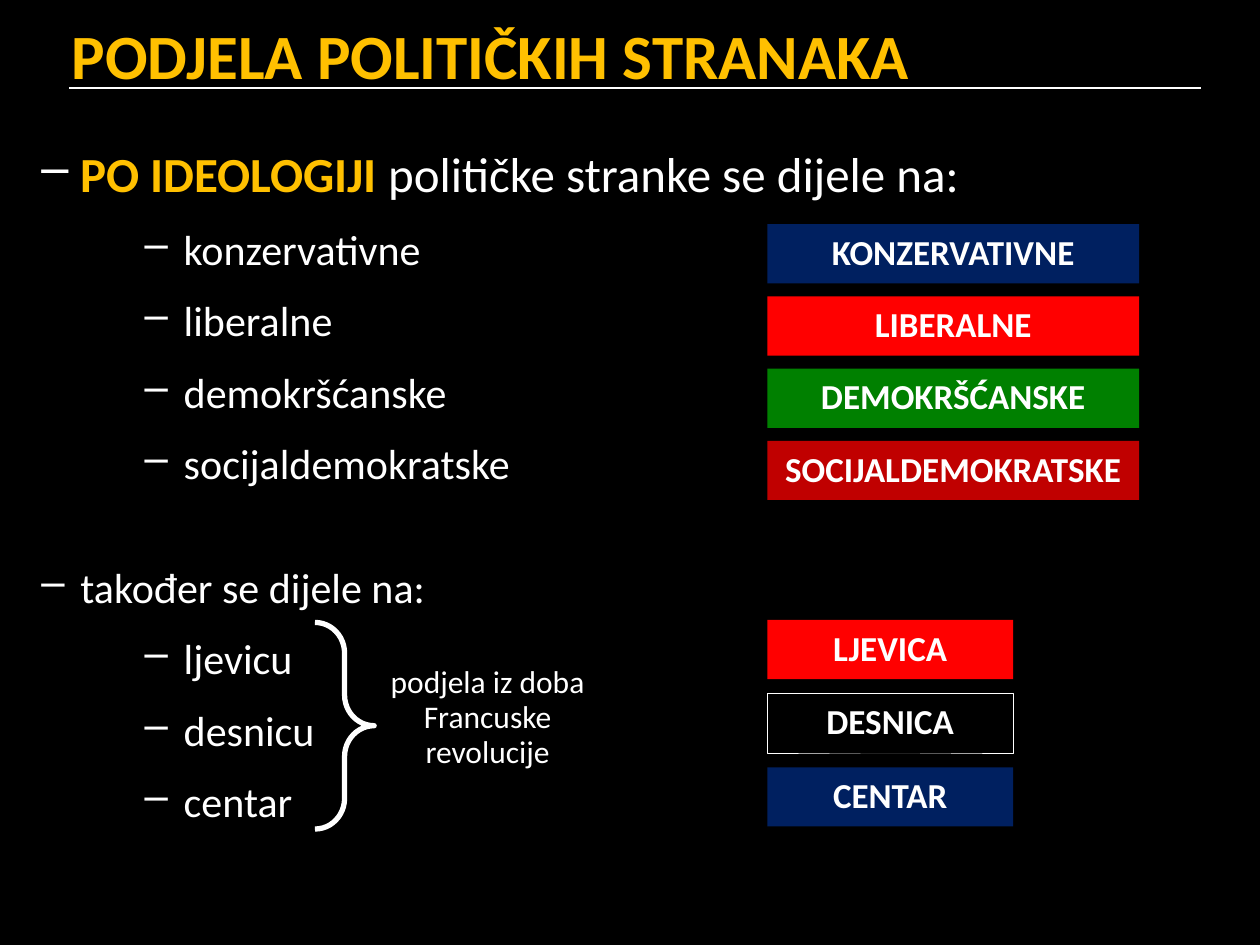
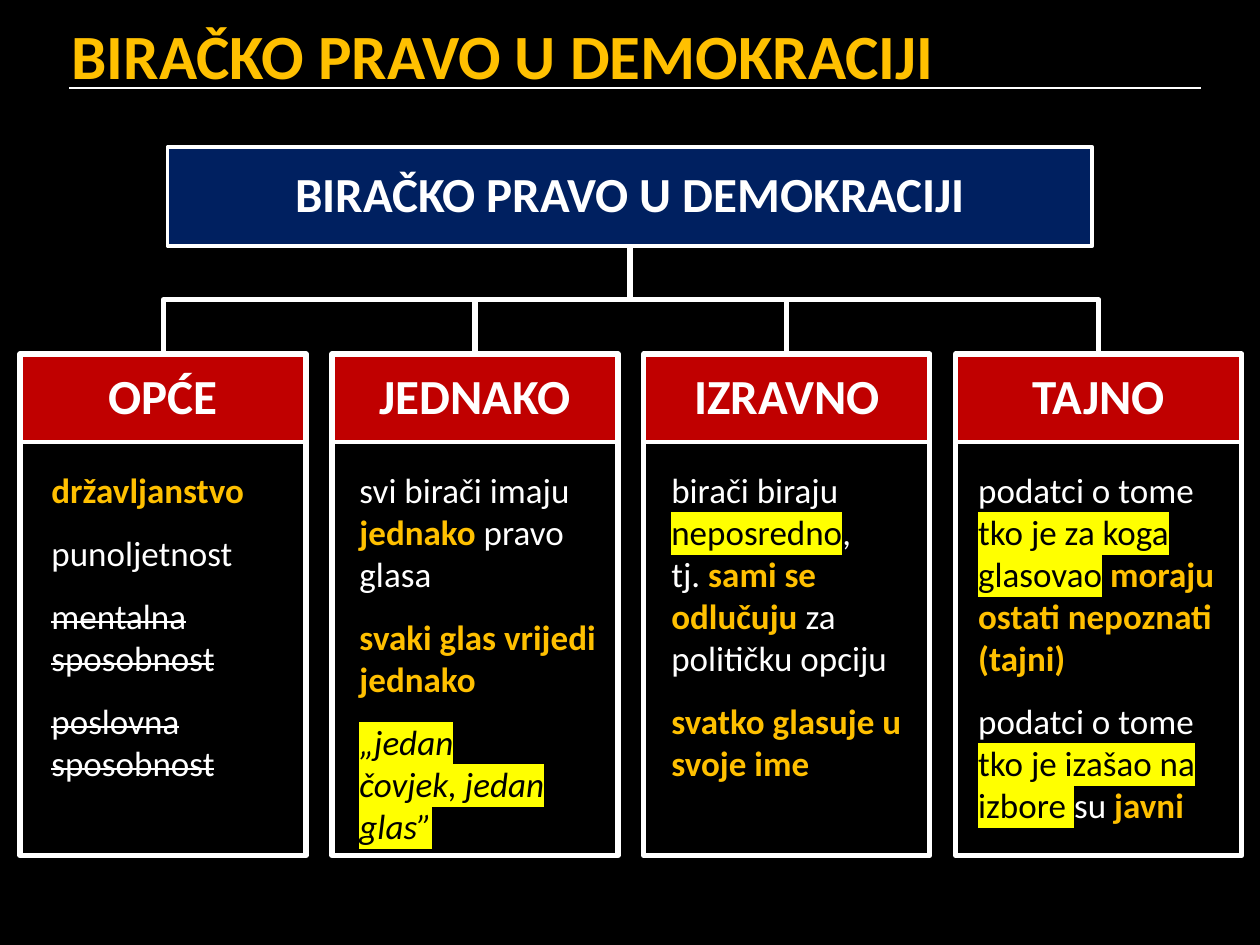
from dataclasses import dataclass

from lxml import etree
from pptx import Presentation
from pptx.dml.color import RGBColor
from pptx.enum.shapes import MSO_CONNECTOR, MSO_SHAPE
from pptx.enum.text import MSO_ANCHOR, PP_ALIGN
from pptx.oxml.ns import qn
from pptx.util import Inches, Pt

RECTANGLE, BRACE = MSO_SHAPE.RECTANGLE, MSO_SHAPE.RIGHT_BRACE
STRAIGHT, ELBOW = MSO_CONNECTOR.STRAIGHT, MSO_CONNECTOR.ELBOW
CENTER, MIDDLE = PP_ALIGN.CENTER, MSO_ANCHOR.MIDDLE


@dataclass(frozen=True)
class Theme:
    font: str = "Calibri"
    black: str = "000000"
    white: str = "FFFFFF"
    gold: str = "FFC000"
    yellow: str = "FFFF00"
    navy: str = "002060"
    red: str = "FF0000"
    green: str = "008000"
    crimson: str = "C00000"
    title: int = 36
    heading: int = 28
    item: int = 24
    label: int = 20
    note: int = 18
    paragraph_gap: int = 12
    tight: float = 0.93


THEME = Theme()

# Run styles: colour, then bold, italic, highlighted, struck out
STYLES = {
    "plain": (THEME.white, False, False, False, False),
    "strong": (THEME.gold, True, False, False, False),
    "label": (THEME.white, True, False, False, False),
    "marked": (THEME.black, False, False, True, False),
    "quote": (THEME.black, False, True, True, False),
    "struck": (THEME.white, False, False, False, True),
}

# Slide 1: level, size, space before, runs
OUTLINE = [
    (0, THEME.heading, 0, [("strong", "PO IDEOLOGIJI "),
                           ("plain", "političke stranke se dijele na:")]),
    *[(1, THEME.item, THEME.paragraph_gap, [("plain", name)])
      for name in ("konzervativne", "liberalne", "demokršćanske", "socijaldemokratske")],
    (0, THEME.item, 42, [("plain", "također se dijele na:")]),
    *[(1, THEME.item, THEME.paragraph_gap, [("plain", name)])
      for name in ("ljevicu", "desnicu", "centar")],
]
IDEOLOGIES = [("KONZERVATIVNE", THEME.navy), ("LIBERALNE", THEME.red),
              ("DEMOKRŠĆANSKE", THEME.green), ("SOCIJALDEMOKRATSKE", THEME.crimson)]
POSITIONS = [("LJEVICA", THEME.red), ("DESNICA", THEME.black), ("CENTAR", THEME.navy)]
LABEL_LEFT, LABEL_HEIGHT = 6.09, 0.47

# Slide 2: heading, text inset from the card edge, text width, paragraphs
PRINCIPLES = [
    ("OPĆE", 0.15, 2.03, [
        [("strong", "državljanstvo")],
        [("plain", "punoljetnost")],
        [("struck", "mentalna sposobnost")],
        [("struck", "poslovna sposobnost")]]),
    ("JEDNAKO", 0.12, 2.16, [
        [("plain", "svi birači imaju "), ("strong", "jednako "), ("plain", "pravo glasa")],
        [("strong", "svaki glas vrijedi jednako")],
        [("quote", "„jedan\nčovjek, jedan\nglas”")]]),
    ("IZRAVNO", 0.12, 2.03, [
        [("plain", "birači biraju "), ("marked", "neposredno"), ("plain", ",\ntj. "),
         ("strong", "sami se odlučuju "), ("plain", "za političku opciju")],
        [("strong", "svatko glasuje u svoje ime")]]),
    ("TAJNO", 0.08, 2.1, [
        [("plain", "podatci o tome "), ("marked", "tko je za koga glasovao"), ("plain", " "),
         ("strong", "moraju ostati nepoznati (tajni)")],
        [("plain", "podatci o tome "), ("marked", "tko je izašao na izbore "),
         ("plain", "su "), ("strong", "javni")]]),
]
CARD_LEFT, CARD_TOP, CARD_PITCH = 0.16, 2.81, 2.475
CARD_WIDTH, CARD_HEIGHT, HEADER_HEIGHT = 2.27, 3.98, 0.7
ROOT_BOX = (1.33, 1.17, 7.34, 0.78)


def rgb(color):
    return RGBColor.from_string(color)


def add_styled_run(paragraph, style, text):
    color, bold, italic, highlighted, struck = STYLES[style]
    for index, line in enumerate(text.split("\n")):
        if index:
            paragraph.add_line_break()
        run = paragraph.add_run()
        run.text = line
        run.font.color.rgb = rgb(color)
        run.font.bold, run.font.italic = bold, italic
        properties = run.font._element
        if struck:
            properties.set("strike", "sngStrike")
        if highlighted:
            highlight = etree.SubElement(properties, qn("a:highlight"))
            etree.SubElement(highlight, qn("a:srgbClr"), val=THEME.yellow)


def write(paragraph, runs, size, space_before=0):
    paragraph.space_before = Pt(space_before)
    paragraph.font.name, paragraph.font.size = THEME.font, Pt(size)
    for style, text in runs:
        add_styled_run(paragraph, style, text)


def paragraphs_of(frame, count):
    return [frame.paragraphs[0]] + [frame.add_paragraph() for _ in range(count - 1)]


def add_text_frame(slide, *box):
    frame = slide.shapes.add_textbox(*map(Inches, box)).text_frame
    frame.word_wrap = True
    return frame


def add_dash(paragraph, level):
    """Hang the paragraph on a white dash at the given outline level."""
    paragraph.level = level
    properties = paragraph._p.get_or_add_pPr()
    properties.set("marL", str(Inches((0.31, 1.13)[level])))
    properties.set("indent", str(Inches(-0.31)))
    color = etree.SubElement(properties, qn("a:buClr"))
    etree.SubElement(color, qn("a:srgbClr"), val=THEME.white)
    etree.SubElement(properties, qn("a:buChar"), char="–")


def add_outlined(slide, kind, box, line_width, fill=None):
    """Add a preset shape with a white line; a zero width means no line."""
    shape = slide.shapes.add_shape(kind, *map(Inches, box))
    shape.shadow.inherit = False
    if fill:
        shape.fill.solid()
        shape.fill.fore_color.rgb = rgb(fill)
    else:
        shape.fill.background()
    if line_width:
        shape.line.color.rgb = rgb(THEME.white)
        shape.line.width = Pt(line_width)
    else:
        shape.line.fill.background()
    return shape


def add_label(slide, text, box, fill, size, line_width=0):
    frame = add_outlined(slide, RECTANGLE, box, line_width, fill).text_frame
    frame.word_wrap = True
    frame.vertical_anchor = MIDDLE
    paragraph = frame.paragraphs[0]
    paragraph.alignment, paragraph.line_spacing = CENTER, THEME.tight
    write(paragraph, [("label", text)], size)


def add_label_stack(slide, labels, top, pitch, width):
    for row, (text, fill) in enumerate(labels):
        box = (LABEL_LEFT, top + row * pitch, width, LABEL_HEIGHT)
        add_label(slide, text, box, fill, THEME.label, 0.25 if fill == THEME.black else 0)


def add_line(slide, kind, start, end, width):
    line = slide.shapes.add_connector(kind, *map(Inches, (*start, *end)))
    line.line.color.rgb = rgb(THEME.white)
    line.line.width = Pt(width)
    etree.SubElement(line._element.spPr, qn("a:effectLst"))
    return line


def add_branch(slide, start, end):
    """Run an elbow down, across and down: a horizontal elbow turned upright."""
    (x0, y0), (x1, y1) = start, end
    center_x, center_y = (x0 + x1) / 2, (y0 + y1) / 2
    reach = (y1 - y0) / 2 * (1 if x1 < x0 else -1)
    rise = abs(x1 - x0) / 2
    branch = add_line(slide, ELBOW, (center_x - reach, center_y - rise),
                      (center_x + reach, center_y + rise), 3)
    quarter_turns = 1 if x1 < x0 else 3
    branch._element.spPr.find(qn("a:xfrm")).set("rot", str(quarter_turns * 90 * 60000))


def add_titled_slide(deck, title):
    slide = deck.slides.add_slide(deck.slide_layouts[6])
    add_line(slide, STRAIGHT, (0.55, 0.7), (9.53, 0.7), 1)
    frame = add_text_frame(slide, 0.47, 0.08, 9.53, 0.63)
    write(frame.paragraphs[0], [("strong", title)], THEME.title)
    return slide


def build_parties(deck):
    slide = add_titled_slide(deck, "PODJELA POLITIČKIH STRANAKA")
    frame = add_text_frame(slide, 0.23, 1.09, 9.69, 5.16)
    for paragraph, (level, size, gap, runs) in zip(paragraphs_of(frame, len(OUTLINE)), OUTLINE):
        add_dash(paragraph, level)
        write(paragraph, runs, size, gap)
    add_label_stack(slide, IDEOLOGIES, top=1.78, pitch=0.573, width=2.95)
    add_label_stack(slide, POSITIONS, top=4.92, pitch=0.585, width=1.95)
    brace = add_outlined(slide, BRACE, (2.5, 4.94, 0.47, 1.64), 3)
    brace.adjustments[0] = 0.518
    note = add_text_frame(slide, 2.97, 5.23, 1.8, 0.95).paragraphs[0]
    note.alignment, note.line_spacing = CENTER, THEME.tight
    write(note, [("plain", "podjela iz doba Francuske revolucije")], THEME.note)


def add_card(slide, left, heading, inset, text_width, paragraphs):
    add_label(slide, heading, (left, CARD_TOP, CARD_WIDTH, HEADER_HEIGHT),
              THEME.crimson, THEME.heading, 2.25)
    add_outlined(slide, RECTANGLE, (left, CARD_TOP, CARD_WIDTH, CARD_HEIGHT), 3)
    frame = add_text_frame(slide, left + inset, 3.67, text_width, 2.8)
    for row, paragraph in enumerate(paragraphs_of(frame, len(paragraphs))):
        write(paragraph, paragraphs[row], THEME.label, THEME.paragraph_gap if row else 0)


def build_voting_right(deck):
    title = "BIRAČKO PRAVO U DEMOKRACIJI"
    slide = add_titled_slide(deck, title)
    left, top, width, height = ROOT_BOX
    card_lefts = [CARD_LEFT + column * CARD_PITCH for column in range(len(PRINCIPLES))]
    for card_left in card_lefts:
        add_branch(slide, (left + width / 2, top + height),
                   (card_left + CARD_WIDTH / 2, CARD_TOP))
    add_label(slide, title, ROOT_BOX, THEME.navy, THEME.heading, 2.25)
    for card_left, principle in zip(card_lefts, PRINCIPLES):
        add_card(slide, card_left, *principle)


def main():
    deck = Presentation()
    deck.slide_width, deck.slide_height = Inches(10), Inches(7.5)
    background = deck.slide_master.background.fill
    background.solid()
    background.fore_color.rgb = rgb(THEME.black)
    build_parties(deck)
    build_voting_right(deck)
    deck.save("out.pptx")


if __name__ == "__main__":
    main()
